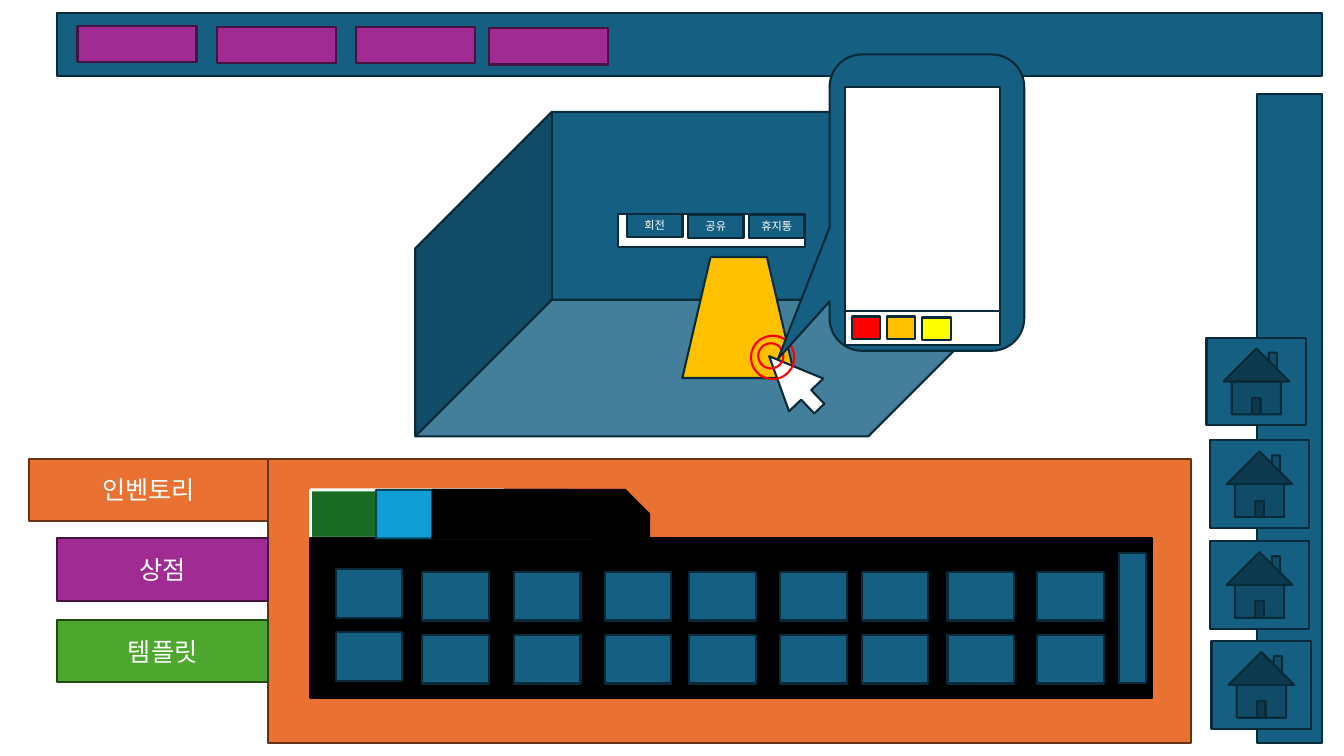
from itertools import product

from lxml.etree import SubElement
from pptx import Presentation
from pptx.dml.color import RGBColor
from pptx.enum.shapes import MSO_SHAPE as Preset
from pptx.enum.text import MSO_ANCHOR as Anchor, PP_ALIGN as Align
from pptx.oxml.ns import qn
from pptx.util import Pt

FONT = "Noto Sans CJK KR"
BLUE = RGBColor(0x15, 0x60, 0x82)
NAVY = RGBColor(0x09, 0x2A, 0x39)
ORANGE = RGBColor(0xE9, 0x71, 0x32)
BROWN = RGBColor(0x66, 0x32, 0x16)
PURPLE = RGBColor(0xA0, 0x2B, 0x93)
PLUM = RGBColor(0x46, 0x13, 0x40)
GREEN = RGBColor(0x4E, 0xA7, 0x2E)
DARK_GREEN = RGBColor(0x22, 0x49, 0x14)
FOREST = RGBColor(0x19, 0x6B, 0x24)
SKY = RGBColor(0x0F, 0x9E, 0xD5)
DARK_SKY = RGBColor(0x07, 0x45, 0x5D)
BLACK = RGBColor(0, 0, 0)
WHITE = RGBColor(0xFF, 0xFF, 0xFF)
RED = RGBColor(0xFF, 0, 0)
AMBER = RGBColor(0xFF, 0xC0, 0)
YELLOW = RGBColor(0xFF, 0xFF, 0)


def add_block(slide, left, top, width, height, fill=BLUE, line=NAVY,
              preset=Preset.RECTANGLE, adjustments=(), line_width=1.5):
    shape = slide.shapes.add_shape(preset, Pt(left), Pt(top), Pt(width), Pt(height))
    shape.shadow.inherit = False
    for index, value in enumerate(adjustments):
        shape.adjustments[index] = value
    if fill is None:
        shape.fill.background()
    else:
        shape.fill.solid()
        shape.fill.fore_color.rgb = fill
    shape.line.color.rgb = line
    shape.line.width = Pt(line_width)
    return shape


def add_label(shape, text, size):
    shape.text_frame.vertical_anchor = Anchor.MIDDLE
    paragraph = shape.text_frame.paragraphs[0]
    paragraph.text = text
    paragraph.alignment = Align.CENTER
    paragraph.font.name = FONT
    paragraph.font.size = Pt(size)
    paragraph.font.color.rgb = WHITE
    properties = paragraph._p.pPr.find(qn("a:defRPr"))
    SubElement(properties, qn("a:ea")).set("typeface", FONT)


def add_room(slide, left, top, width, height):
    room = add_block(slide, left, top, width, height,
                     preset=Preset.CUBE, adjustments=[0.421])
    room.rotation = 180


def add_top_bar(slide, left, top, width, height):
    add_block(slide, left, top, width, height)
    for x, y in [(14.4, 9.3), (113.8, 10), (213.1, 10), (308.2, 10.8)]:
        add_block(slide, left + x, top + y, 85, 25.9, PURPLE, PLUM)


def add_inventory(slide, left, top, width, height):
    add_block(slide, left, top, width, height, ORANGE, BROWN)
    tabs = [("인벤토리", 171, 0, ORANGE, BROWN),
            ("상점", 150.5, 56.9, PURPLE, PLUM),
            ("템플릿", 150.5, 115.2, GREEN, DARK_GREEN)]
    for text, tab_width, y, fill, line in tabs:
        tab = add_block(slide, left - tab_width, top + y, tab_width, 44.6, fill, line)
        add_label(tab, text, 18)
    add_folder(slide, left + 30.3, top + 56.9, 601.2, 113.8)


def add_folder(slide, left, top, width, height):
    def add_folder_tab(x, fill, line, line_width=1.5):
        add_block(slide, left + x, top - 34.6, 154.8, 34.6, fill, line,
                  Preset.SNIP_1_RECTANGLE, [0.5], line_width)

    add_folder_tab(0, FOREST, WHITE, 2)
    add_block(slide, left, top, width, height, BLACK, BLACK)
    add_folder_tab(46.8, SKY, DARK_SKY)
    add_folder_tab(87.1, BLACK, BLACK)
    columns = [18, 79.9, 145.4, 210.2, 270.7, 335.5, 393.8, 455, 519.1]
    for y, x in product([24.1, 69.1], columns):
        lift = 2 if x == columns[0] else 0
        add_block(slide, left + x, top + y - lift, 47.5, 34.6)
    add_block(slide, left + 577.4, top + 10.8, 19.4, 92.9)


def add_side_bar(slide, left, top, width, height):
    add_block(slide, left, top, width, height)
    for x, y in [(-36, 174.2), (-33.8, 247.6), (-33.8, 319.6), (-32.4, 390.9)]:
        add_block(slide, left + x, top + y, 71.3, 62.6,
                  preset=Preset.ACTION_BUTTON_HOME)


def add_furniture(slide, left, top, width, height):
    add_block(slide, left, top, width, height, AMBER, preset=Preset.TRAPEZOID)
    pointer = add_block(slide, left + 54, top + 72.7, 51.8, 33.8, WHITE,
                        preset=Preset.LEFT_ARROW, adjustments=[0.294, 1.132])
    pointer.rotation = 46.3
    for x, y, diameter in [(49, 56.2, 31), (54.2, 61.6, 18)]:
        add_block(slide, left + x, top + y, diameter, diameter, None, RED, Preset.OVAL)


def add_phone(slide, left, top, width, height):
    add_block(slide, left, top, width, height, preset=Preset.ROUNDED_RECTANGULAR_CALLOUT,
              adjustments=[-0.765, 0.527, 0.167])
    add_block(slide, left + 10.8, top + 23, 110.9, 160.6, WHITE)
    add_block(slide, left + 10.8, top + 183.6, 110.9, 23.8, WHITE)
    for index, (colour, y) in enumerate([(RED, 187.2), (AMBER, 187.2), (YELLOW, 187.9)]):
        add_block(slide, left + 15.8 + index * 25.2, top + y, 20.2, 15.8, colour)


def add_menu(slide, left, top, width, height):
    add_block(slide, left, top, width, height, WHITE)
    for index, (text, y) in enumerate([("회전", 0), ("공유", 0.8), ("휴지통", 0.8)]):
        button = add_block(slide, left + 6.5 + index * 43.6, top + y, 39.6, 16.6)
        add_label(button, text, 8)


def main():
    presentation = Presentation()
    presentation.slide_width = Pt(960)
    presentation.slide_height = Pt(540)
    slide = presentation.slides.add_slide(presentation.slide_layouts[6])
    add_room(slide, 296.6, 79.9, 421.2, 231.8)
    add_top_bar(slide, 41, 9.4, 903.6, 44.6)
    add_inventory(slide, 191.5, 327.6, 659.5, 203)
    add_side_bar(slide, 897.8, 67, 46.8, 463.7)
    add_furniture(slide, 487.4, 183.6, 80.6, 86.4)
    add_phone(slide, 592.6, 38.9, 139, 211.7)
    add_menu(slide, 441.4, 152.6, 133.9, 23.8)
    presentation.save("out.pptx")


if __name__ == "__main__":
    main()
